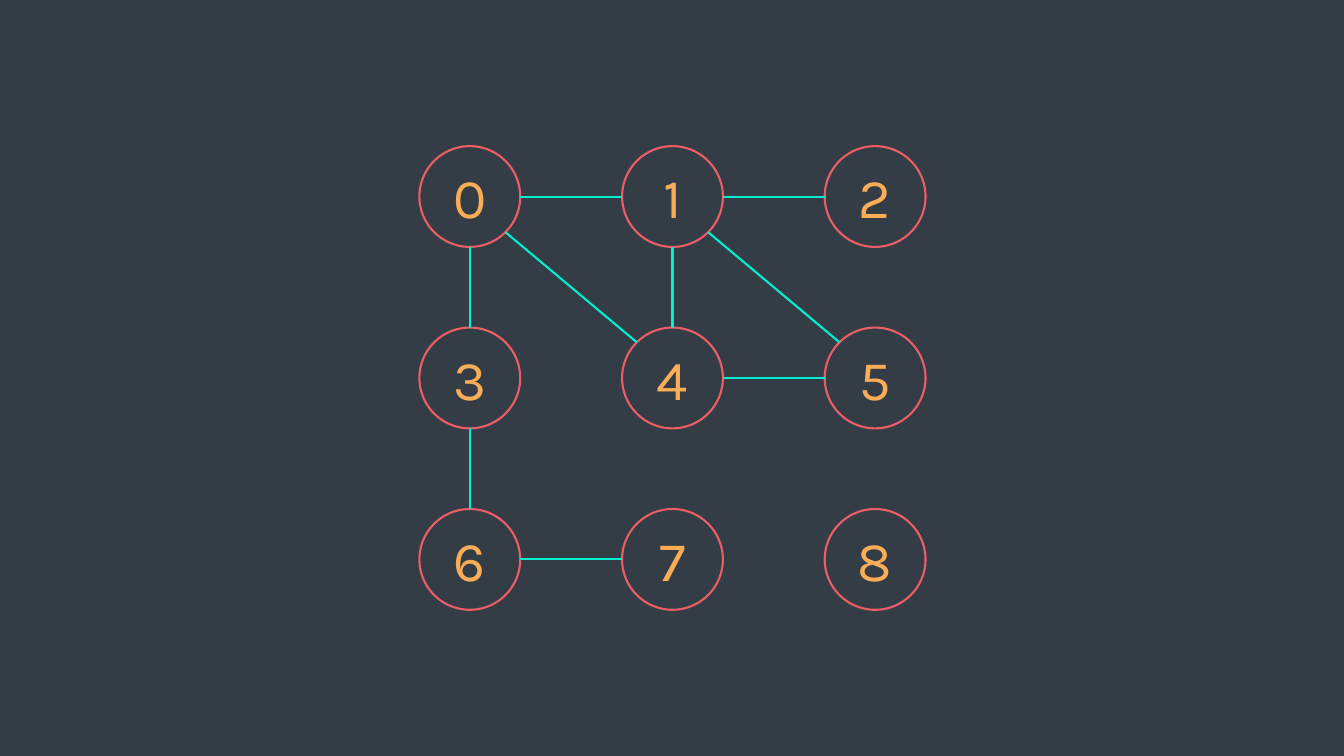
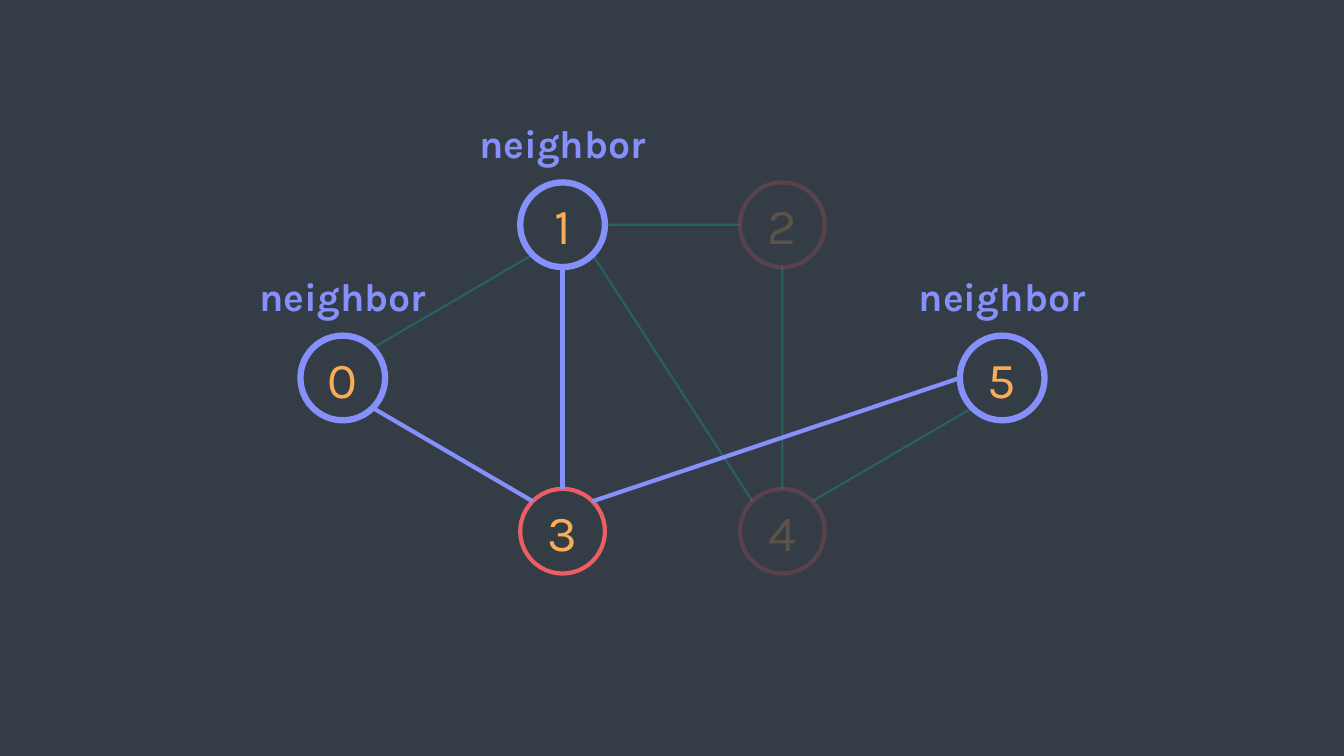
from math import hypot

from lxml.etree import SubElement
from pptx import Presentation
from pptx.dml.color import RGBColor as RGB
from pptx.enum.shapes import MSO_CONNECTOR as LINK, MSO_SHAPE as SHAPE
from pptx.enum.text import MSO_ANCHOR as ANCHOR, PP_ALIGN as ALIGN
from pptx.oxml.ns import qn
from pptx.util import Inches, Pt

BACK, CORAL, AMBER = "343D46", "EC5E66", "F9AD57"
TEAL, VIOLET = "00EFD1", "8690FA"
FADED = 20
SIDES = {
    "n": (0, -1), "ne": (1, -1), "e": (1, 0), "se": (1, 1),
    "s": (0, 1), "sw": (-1, 1), "w": (-1, 0), "nw": (-1, -1),
}


def paint(fill, color, alpha=100):
    """Fill solidly; alpha is the opacity in percent."""
    fill.solid()
    fill.fore_color.rgb = RGB.from_string(color)
    if alpha < 100:
        tone = fill._xPr.find(".//" + qn("a:srgbClr"))
        SubElement(tone, qn("a:alpha")).set("val", str(alpha * 1000))


class Graph:
    """Draws graphs whose nodes share one size on each slide."""

    font = "Karla"

    def __init__(self):
        self.deck = Presentation()
        self.deck.slide_width = Inches(13.33)
        self.deck.slide_height = Inches(7.5)
        paint(self.deck.slide_master.background.fill, BACK)

    def start(self, spots, size, points):
        """Add a slide; spots maps each node name to its centre."""
        self.shapes = self.deck.slides.add_slide(self.deck.slide_layouts[6]).shapes
        self.spots, self.size, self.points = spots, size, points

    def put_text(self, frame, text, points, color, alpha=100, bold=False):
        para = frame.paragraphs[0]
        para.text = text
        para.alignment = ALIGN.CENTER
        font = para.font
        font.name, font.size, font.bold = self.font, Pt(points), bold
        paint(font.fill, color, alpha)

    def node(self, name, color=CORAL, width=1.5, alpha=100):
        x, y = self.spots[name]
        half = self.size / 2
        ring = self.shapes.add_shape(
            SHAPE.OVAL, Inches(x - half), Inches(y - half),
            Inches(self.size), Inches(self.size))
        ring.shadow.inherit = False
        paint(ring.fill, BACK)
        paint(ring.line.fill, color, alpha)
        ring.line.width = Pt(width)
        ring.text_frame.vertical_anchor = ANCHOR.MIDDLE
        self.put_text(ring.text_frame, name, self.points, AMBER, alpha)

    def rim(self, name, side):
        """Return the point of a node's circle that faces the given side."""
        x, y = self.spots[name]
        dx, dy = SIDES[side]
        reach = self.size / 2 / hypot(dx, dy)
        return Inches(x + dx * reach), Inches(y + dy * reach)

    def edge(self, route, color=TEAL, width=1.5, alpha=100):
        """Join two nodes; a route reads like "0 se 4 nw"."""
        first, out, last, into = route.split()
        line = self.shapes.add_connector(
            LINK.STRAIGHT, *self.rim(first, out), *self.rim(last, into))
        paint(line.line.fill, color, alpha)
        line.line.width = Pt(width)
        SubElement(line._element.spPr, qn("a:effectLst"))

    def label(self, name, text):
        """Put a caption above a node."""
        x, y = self.spots[name]
        box = self.shapes.add_textbox(
            Inches(x - 1.2), Inches(y - 1.1), Inches(2.4), Inches(0.57))
        box.text_frame.word_wrap = True
        self.put_text(box.text_frame, text, 28, VIOLET, bold=True)


def draw_grid(graph):
    spots = {str(3 * row + col): (4.66 + 2.01 * col, 1.95 + 1.8 * row)
             for row in range(3) for col in range(3)}
    graph.start(spots, 1, 40)
    for name in spots:
        graph.node(name)
    for route in ("0 e 1 w", "1 e 2 w", "0 s 3 n", "0 se 4 nw", "1 s 4 n",
                  "1 se 5 nw", "4 e 5 w", "3 s 6 n", "6 e 7 w"):
        graph.edge(route)


def draw_neighbors(graph):
    cells = {"0": (0, 1), "1": (1, 0), "2": (2, 0),
             "3": (1, 2), "4": (2, 2), "5": (3, 1)}
    spots = {name: (3.4 + 2.18 * col, 2.23 + 1.52 * row)
             for name, (col, row) in cells.items()}
    graph.start(spots, 0.84, 36)
    for route in ("0 ne 1 sw", "1 e 2 w", "1 se 4 nw", "2 s 4 n", "4 ne 5 sw"):
        graph.edge(route, alpha=FADED)
    for name in "24":
        graph.node(name, width=3, alpha=FADED)
    graph.node("3", width=3)
    for name in "015":
        graph.node(name, VIOLET, 4.5)
        graph.label(name, "neighbor")
    for route in ("3 n 1 s", "0 se 3 nw", "3 ne 5 w"):
        graph.edge(route, VIOLET, 3)


def main():
    graph = Graph()
    draw_grid(graph)
    draw_neighbors(graph)
    graph.deck.save("out.pptx")


if __name__ == "__main__":
    main()
